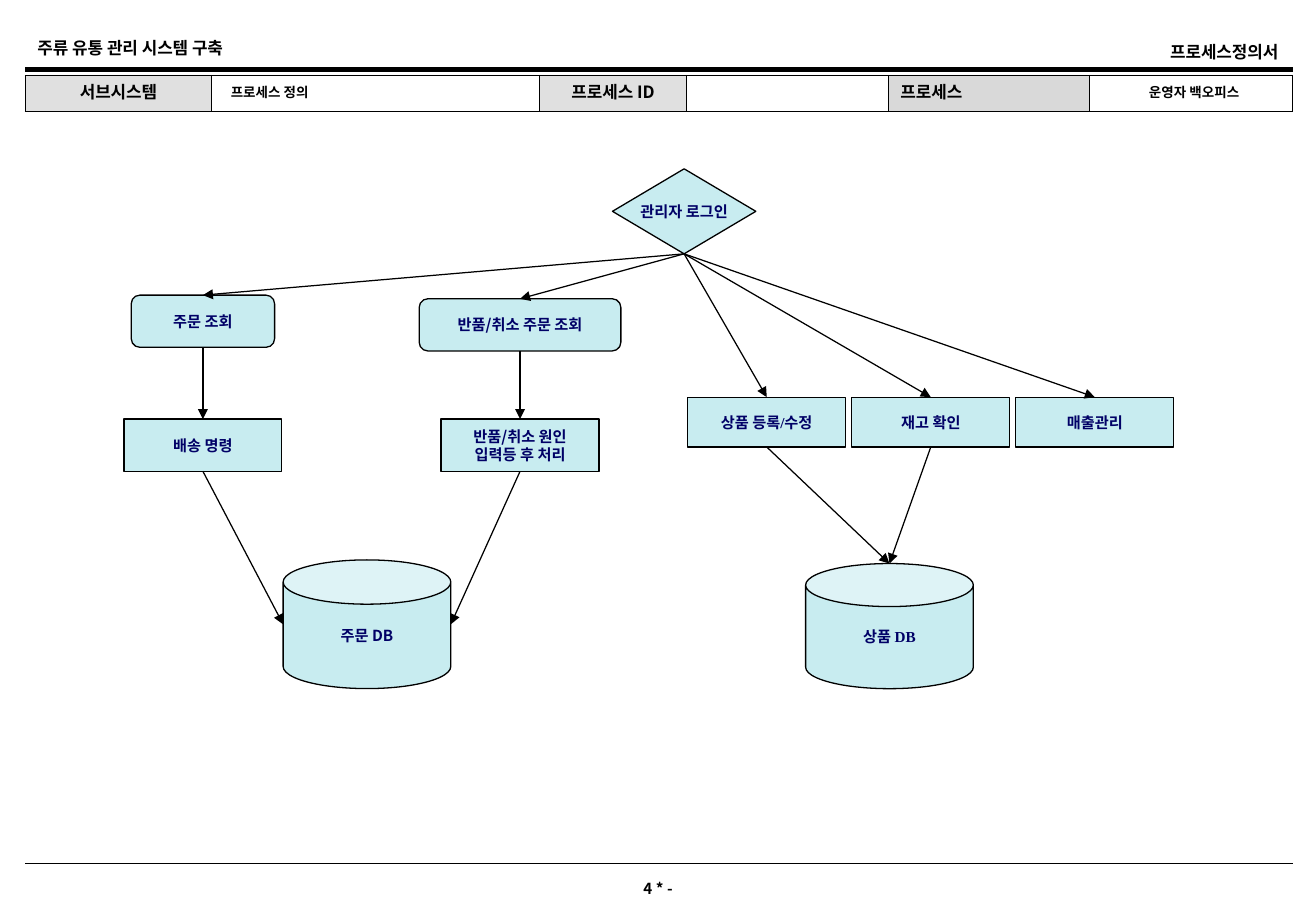
import pptx
import pptx.util
import pptx.dml.color
import pptx.enum.shapes
import pptx.enum.text
import pptx.oxml.ns
import lxml.etree

Inches, Pt = pptx.util.Inches, pptx.util.Pt
SHAPE = pptx.enum.shapes.MSO_SHAPE
ALIGN = pptx.enum.text.PP_ALIGN
MIDDLE = pptx.enum.text.MSO_ANCHOR.MIDDLE
qn = pptx.oxml.ns.qn
RGB = pptx.dml.color.RGBColor.from_string

COLORS = {"ink": "000000", "label": "000066", "node": "C8ECF0",
          "heading": "E0E0E0", "process": "D9D9D9", "paper": "FFFFFF"}
SANS, SERIF = "Noto Sans CJK KR", "Times New Roman"
WIDTH, HEIGHT = 10.83, 7.5
LEFT, RIGHT = 0.21, 10.64


def write(frame, text, size, align, font=SANS, color="ink"):
    """Fill a text frame with bold text, one paragraph a line."""
    frame.text = text
    for paragraph in frame.paragraphs:
        paragraph.alignment = align
        paragraph.font.size = Pt(size)
        paragraph.font.bold = True
        paragraph.font.name = font
        paragraph.font.color.rgb = RGB(COLORS[color])
        properties = paragraph.font._element
        lxml.etree.SubElement(properties, qn("a:ea"), typeface=SANS)


def connect(start, end, weight, arrow=False):
    """Draw a straight black line between two points in inches."""
    line = slide.shapes.add_connector(
        pptx.enum.shapes.MSO_CONNECTOR.STRAIGHT, *map(Inches, start + end))
    line.line.width = Pt(weight)
    line.line.color.rgb = RGB(COLORS["ink"])
    if arrow:
        lxml.etree.SubElement(line.line._get_or_add_ln(), qn("a:tailEnd"), type="triangle")
    lxml.etree.SubElement(line._element.spPr, qn("a:effectLst"))
    return line


presentation = pptx.Presentation()
presentation.slide_width, presentation.slide_height = Inches(WIDTH), Inches(HEIGHT)
slide = presentation.slides.add_slide(presentation.slide_layouts[5])

# Title, project name and page number
title = slide.shapes.title
title.left, title.top, title.width, title.height = map(Inches, (8.14, 0.29, 2.48, 0.27))
project = slide.shapes.add_textbox(*map(Inches, (LEFT, 0.26, 2.85, 0.27)))
page = slide.shapes.add_textbox(*map(Inches, (WIDTH / 2 - 1.24, 7.19, 2.48, 0.27)))
for box, text, size, align in [(title, "프로세스정의서", 10, ALIGN.RIGHT),
                               (project, "주류 유통 관리 시스템 구축", 10, ALIGN.LEFT),
                               (page, "4 * -", 9, ALIGN.CENTER)]:
    write(box.text_frame, text, size, align)
    box.text_frame.word_wrap = True
    box.text_frame.auto_size = pptx.enum.text.MSO_AUTO_SIZE.NONE
    box.text_frame.vertical_anchor = pptx.enum.text.MSO_ANCHOR.TOP

# Header and footer rules
for y, weight in [(0.57, 3), (7.11, 1)]:
    connect((LEFT, y), (RIGHT, y), weight)

# Header table: width, text, size, alignment, fill, left and right margin
header_cells = [
    (1.53, "서브시스템", 10, ALIGN.CENTER, "heading", 0.1, 0.1),
    (2.70, "프로세스 정의", 8, ALIGN.LEFT, "paper", 0.16, 0.1),
    (1.21, "프로세스 ID", 10, ALIGN.CENTER, "heading", 0.1, 0.1),
    (1.66, "", 8, ALIGN.LEFT, "paper", 0.1, 0.1),
    (1.66, "프로세스", 10, ALIGN.LEFT, "process", 0.1, 0.1),
    (1.67, "운영자 백오피스", 8, ALIGN.RIGHT, "paper", 0.1, 0.44),
]
table = slide.shapes.add_table(1, len(header_cells), Inches(LEFT), Inches(0.62),
                               Inches(RIGHT - LEFT), Inches(0.3)).table
table.first_row = table.horz_banding = False
for column, (width, text, size, align, fill, left, right) in enumerate(header_cells):
    table.columns[column].width = Inches(width)
    cell = table.cell(0, column)
    write(cell.text_frame, text, size, align)
    if not text:
        lxml.etree.SubElement(cell.text_frame.paragraphs[0]._p, qn("a:endParaRPr"),
                              sz=str(size * 100))
    cell.margin_left, cell.margin_right = Inches(left), Inches(right)
    cell.margin_top, cell.margin_bottom = 0, Inches(0.03)
    cell.vertical_anchor = MIDDLE
    for side in ("a:lnL", "a:lnR", "a:lnT", "a:lnB"):
        border = lxml.etree.SubElement(cell._tc.get_or_add_tcPr(), qn(side), w=str(Pt(0.77)))
        solid = lxml.etree.SubElement(border, qn("a:solidFill"))
        lxml.etree.SubElement(solid, qn("a:srgbClr"), val=COLORS["ink"])
    cell.fill.solid()
    cell.fill.fore_color.rgb = RGB(COLORS[fill])

# Flow nodes: kind, centre x, top, width, height, text, font
ORDER, RETURN, LOGIN, PRODUCT, STEP = 1.67, 4.28, 5.63, 6.31, 1.35
STOCK, SALES = PRODUCT + STEP, PRODUCT + 2 * STEP
ROUNDED = SHAPE.FLOWCHART_ALTERNATE_PROCESS
nodes = {
    "login": (SHAPE.DIAMOND, LOGIN, 1.39, 1.18, 0.7, "관리자 로그인", SERIF),
    "orders": (ROUNDED, ORDER, 2.43, 1.18, 0.43, "주문 조회", SANS),
    "returns": (ROUNDED, RETURN, 2.46, 1.66, 0.43, "반품/취소 주문 조회", SANS),
    "delivery": (SHAPE.RECTANGLE, ORDER, 3.45, 1.3, 0.43, "배송 명령", SANS),
    "reason": (SHAPE.RECTANGLE, RETURN, 3.45, 1.3, 0.43, "반품/취소 원인\n입력등 후 처리", SANS),
    "product": (SHAPE.RECTANGLE, PRODUCT, 3.27, 1.3, 0.41, "상품 등록/수정", SERIF),
    "stock": (SHAPE.RECTANGLE, STOCK, 3.27, 1.3, 0.41, "재고 확인", SERIF),
    "sales": (SHAPE.RECTANGLE, SALES, 3.27, 1.3, 0.41, "매출관리", SERIF),
    "order_db": (SHAPE.CAN, 3.02, 4.61, 1.38, 1.06, "주문 DB", SANS),
    "product_db": (SHAPE.CAN, 7.32, 4.64, 1.38, 1.03, "상품 DB", SERIF),
}
shapes = {}
for name, (kind, center, top, width, height, text, font) in nodes.items():
    shape = slide.shapes.add_shape(
        kind, *map(Inches, (center - width / 2, top, width, height)))
    shape.shadow.inherit = False
    shape.fill.solid()
    shape.fill.fore_color.rgb = RGB(COLORS["node"])
    shape.line.color.rgb = RGB(COLORS["ink"])
    shape.line.width = Pt(0.77)
    if kind == SHAPE.CAN:
        shape.adjustments[0] = 0.344
    write(shape.text_frame, text, 9, ALIGN.CENTER, font, "label")
    shape.text_frame.word_wrap = False
    shape.text_frame.vertical_anchor = MIDDLE
    shapes[name] = shape

# Arrows from the bottom of one node to the top of the next
TOP_SITE, BOTTOM_SITE = 0, 2
for source, target in [("login", "product"), ("login", "stock"), ("login", "sales"),
                       ("login", "returns"), ("login", "orders"),
                       ("orders", "delivery"), ("returns", "reason")]:
    arrow = connect((0, 0), (1, 1), 0.75, arrow=True)
    arrow.begin_connect(shapes[source], BOTTOM_SITE)
    arrow.end_connect(shapes[target], TOP_SITE)

# Arrows into the databases
for source, end in [("delivery", (2.33, 5.14)), ("reason", (3.71, 5.14)),
                    ("product", (7.32, 4.64)), ("stock", (7.32, 4.64))]:
    arrow = connect((0, 0), end, 0.75, arrow=True)
    arrow.begin_connect(shapes[source], BOTTOM_SITE)

presentation.save("out.pptx")
